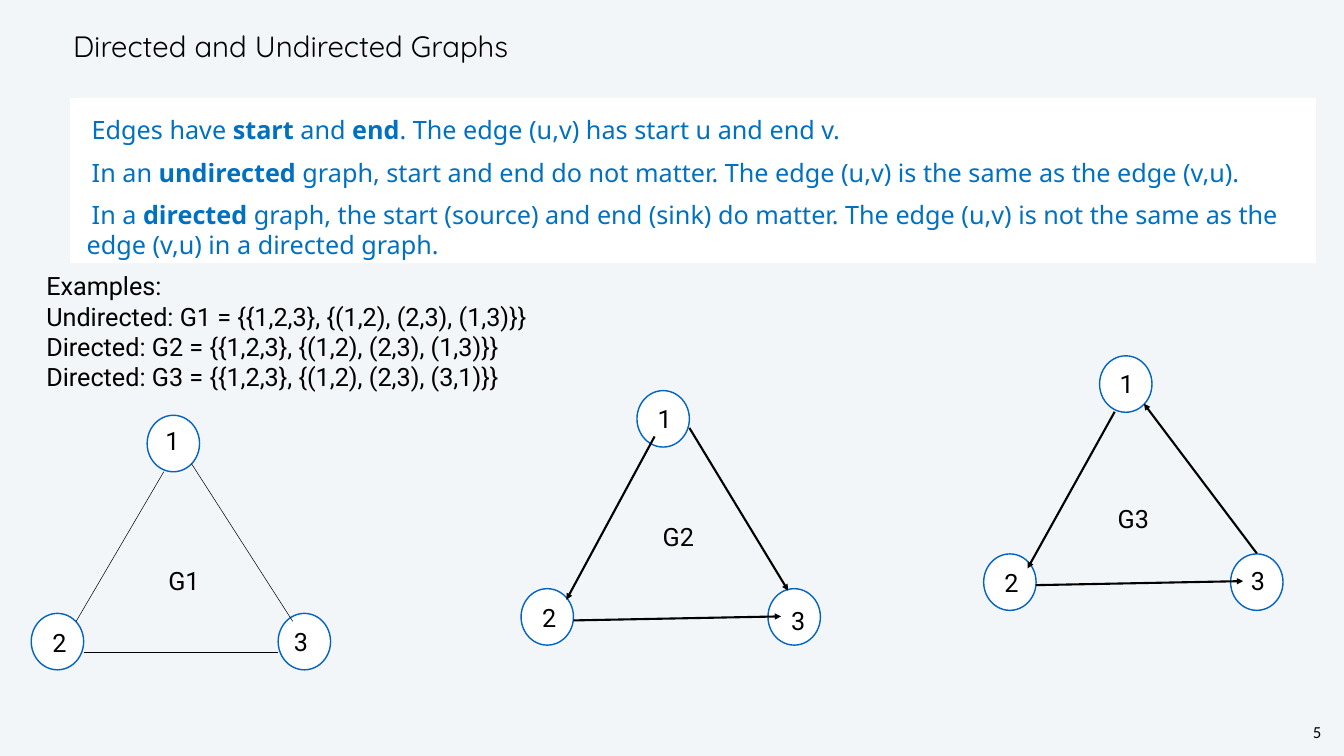
import pptx
import pptx.util
import pptx.dml.color
import pptx.enum.text
import pptx.enum.shapes
import pptx.oxml.ns
import lxml.etree
from dataclasses import dataclass

Inches, Pt = pptx.util.Inches, pptx.util.Pt
RGB = pptx.dml.color.RGBColor.from_string
PP_ALIGN, ANCHOR = pptx.enum.text.PP_ALIGN, pptx.enum.text.MSO_ANCHOR
SHAPE, LINE = pptx.enum.shapes.MSO_SHAPE, pptx.enum.shapes.MSO_CONNECTOR
qn = pptx.oxml.ns.qn


@dataclass
class Theme:
    back: str = "F3F6F9"
    white: str = "FFFFFF"
    ink: str = "000000"
    accent: str = "0070C0"
    ring: str = "0365C0"
    title: int = 42
    text: int = 36
    number: int = 24


theme = Theme()


def write(s, lines, size=theme.text, font="Roboto", color=theme.ink, inset=0.06,
          anchor=ANCHOR.MIDDLE, align=PP_ALIGN.LEFT, spacing=None, before=0, wrap=True, indent=0):
    tf = s.text_frame
    tf.word_wrap = wrap
    tf.auto_size = pptx.enum.text.MSO_AUTO_SIZE.NONE
    tf.vertical_anchor = anchor
    tf.margin_left = tf.margin_right = Inches(inset)
    tf.margin_top = tf.margin_bottom = Inches(min(inset, 0.05) if inset == 0.1 else inset)
    for i, line in enumerate(lines):
        p = tf.paragraphs[0] if i == 0 else tf.add_paragraph()
        p.alignment, p.space_before = align, Pt(before)
        if spacing:
            p.line_spacing = Pt(spacing)
        if indent:
            pPr = p._p.get_or_add_pPr()
            pPr.set("marL", "0")
            pPr.set("indent", str(Inches(indent)))
            lxml.etree.SubElement(pPr, qn("a:buNone"))
        for j, part in enumerate(line.split("*")):
            r = p.add_run()
            r.text = part
            r.font.size, r.font.name, r.font.bold = Pt(size), font, j % 2 == 1
            r.font.color.rgb = RGB(color)


def place(s, left, top, width, height):
    s.left, s.top, s.width, s.height = map(Inches, (left, top, width, height))


prs = pptx.Presentation()
prs.slide_width, prs.slide_height = Inches(26.67), Inches(15)
slide = prs.slides.add_slide(prs.slide_layouts[1])
slide.background.fill.solid()
slide.background.fill.fore_color.rgb = RGB(theme.back)

title, body = slide.placeholders
place(title, 1.39, 0.42, 22.62, 0.99)
write(title, ["Directed and Undirected Graphs"], size=theme.title, font="Quicksand", spacing=50, before=3)

place(body, 1.39, 1.94, 24.72, 3.28)
body.fill.solid()
body.fill.fore_color.rgb = RGB(theme.white)
write(body, [
    "Edges have *start* and *end*. The edge (u,v) has start u and end v.",
    "In an *undirected* graph, start and end do not matter. The edge (u,v) is the same as the edge (v,u).",
    "In a *directed* graph, the start (source) and end (sink) do matter. "
    "The edge (u,v) is not the same as the edge (v,u) in a directed graph.",
], font="Noto Sans", color=theme.accent, inset=0.33, anchor=ANCHOR.TOP, spacing=43, before=18, indent=0.1)

examples = slide.shapes.add_textbox(Inches(0.82), Inches(5.32), Inches(13.33), Inches(2.52))
write(examples, [
    "Examples:",
    "Undirected: G1 = {{1,2,3}, {(1,2), (2,3), (1,3)}}",
    "Directed: G2 = {{1,2,3}, {(1,2), (2,3), (1,3)}}",
    "Directed: G3 = {{1,2,3}, {(1,2), (2,3), (3,1)}}",
], inset=0.1, anchor=ANCHOR.TOP)

NODES = [(2.3, 0), (0, 3.93), (4.9, 3.93)]
graphs = [
    dict(origin=(0.62, 8.24), directed=False,
         edges=[(3.25, 9.36, 1.51, 12.33), (1.66, 12.95, 5.52, 12.95), (3.8, 9.2, 5.81, 12.33)],
         labels={"1": (3.22, 8.38), "2": (0.98, 12.39), "3": (5.77, 12.36), "G1": (3.28, 11.15)}),
    dict(origin=(10.34, 7.75), directed=True,
         edges=[(12.99, 8.66, 11.24, 11.9), (11.38, 12.31, 15.5, 12.23), (13.68, 8.49, 15.64, 11.72)],
         labels={"1": (12.99, 7.95), "2": (10.7, 11.9), "3": (15.64, 11.94), "G2": (13.09, 10.29)}),
    dict(origin=(19.52, 7.06), directed=True,
         edges=[(22.12, 8.17, 20.39, 11.28), (20.56, 11.61, 24.67, 11.53), (24.94, 10.98, 22.7, 8.01)],
         labels={"1": (22.16, 7.25), "2": (19.87, 11.2), "3": (24.76, 11.15), "G3": (22.12, 9.92)}),
]

for graph in graphs:
    shapes = slide.shapes.add_group_shape().shapes
    left, top = graph["origin"]
    for dx, dy in NODES:
        node = shapes.add_shape(SHAPE.OVAL, Inches(left + dx), Inches(top + dy), Inches(1.04), Inches(1.12))
        node.shadow.inherit = False
        node.fill.solid()
        node.fill.fore_color.rgb = RGB(theme.white)
        node.line.color.rgb = RGB(theme.ring)
        node.line.width = Pt(2)
    for ends in graph["edges"]:
        edge = shapes.add_connector(LINE.STRAIGHT, *map(Inches, ends))
        edge.line.color.rgb = RGB(theme.ink)
        edge.line.width = Pt(3 if graph["directed"] else 0.75)
        if graph["directed"]:
            lxml.etree.SubElement(edge.line._get_or_add_ln(), qn("a:tailEnd"), type="triangle")
        lxml.etree.SubElement(edge._element.spPr, qn("a:effectLst"))
    for text, (x, y) in graph["labels"].items():
        write(shapes.add_textbox(Inches(x), Inches(y), Inches(1.08), Inches(0.72)), [text])

number = slide.shapes.add_textbox(Inches(25.92), Inches(14.29), Inches(0.43), Inches(0.47))
write(number, ["5"], size=theme.number, font="Calibri", inset=0.04, anchor=ANCHOR.TOP,
      align=PP_ALIGN.CENTER, spacing=28, wrap=False)

prs.save("out.pptx")
